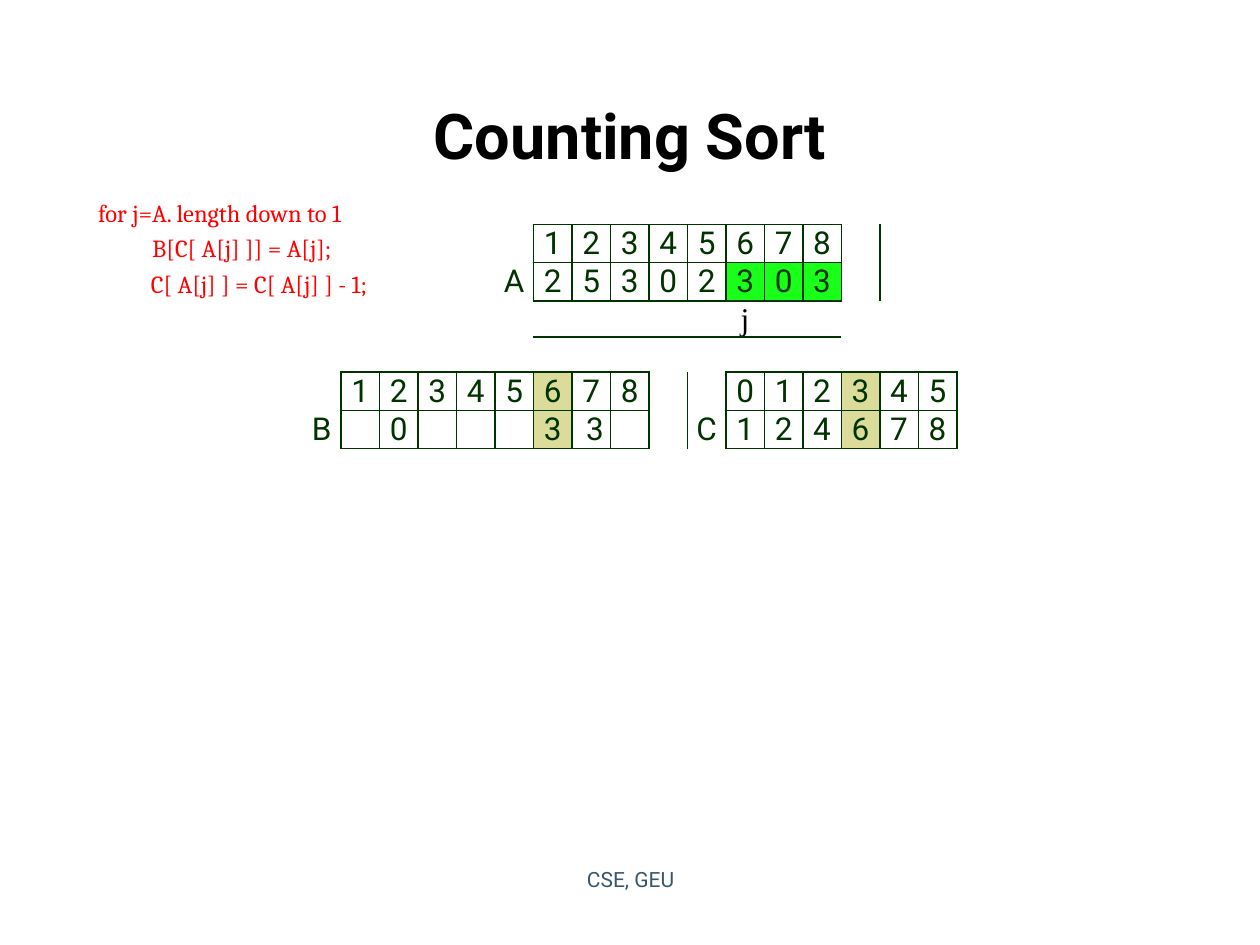
from lxml import etree
from pptx import Presentation
from pptx import util as u
from pptx.dml.color import RGBColor
from pptx.enum import text
from pptx.oxml import ns

BLACK = RGBColor(0, 0, 0)
DARK_GREEN = RGBColor(0x00, 0x33, 0x00)
LIME = RGBColor(0x1A, 0xFF, 0x1A)
KHAKI = RGBColor(0xDC, 0xDC, 0x9A)
RED = RGBColor(0xFF, 0, 0)
SLATE = RGBColor(0x3A, 0x56, 0x6E)
PLAIN_STYLE = "{2D5ABB26-0587-4C30-8999-92F81FD0307C}"
ROWS, COLUMNS = 6, 17


def write(paragraph, wording, size, color, face="Roboto", bold=False, align=text.PP_ALIGN.CENTER):
    """Write one formatted run into a paragraph."""
    paragraph.alignment = align
    run = paragraph.add_run()
    run.text = wording
    for name, value in {"name": face, "size": u.Pt(size), "bold": bold}.items():
        setattr(run.font, name, value)
    run.font.color.rgb = color


def place_title(slide, box):
    """Place the slide title in its placeholder."""
    title = slide.shapes.title
    for name, value in zip(("left", "top", "width", "height"), box):
        setattr(title, name, u.Inches(value))
    title.text_frame.vertical_anchor = text.MSO_ANCHOR.MIDDLE
    write(title.text_frame.paragraphs[0], "Counting Sort", 36, BLACK, bold=True)


def add_frame(slide, box):
    """Add a wrapping text box and return its frame."""
    frame = slide.shapes.add_textbox(*map(u.Inches, box)).text_frame
    frame.word_wrap = True
    return frame


def place_code(slide, box):
    """Place the loop of the algorithm, with its body indented."""
    frame = add_frame(slide, box)
    steps = (("for j=A. length down to 1", 0.01),
             ("B[C[ A[j] ]] = A[j];", 0.44),
             ("C[ A[j] ] = C[ A[j] ] - 1;", 0.43))
    for number, (step, indent) in enumerate(steps):
        line = frame.add_paragraph() if number else frame.paragraphs[0]
        line.line_spacing = 1.21
        line.space_before = u.Pt(0.1)
        line._p.get_or_add_pPr().set("marL", str(u.Inches(indent)))
        write(line, step, 14, RED, "Cambria", align=text.PP_ALIGN.LEFT)


def place_footer(slide, box):
    """Place the centred footer."""
    write(add_frame(slide, box).paragraphs[0], "CSE, GEU", 12, SLATE)


def write_cell(cell, wording, face="Roboto", color=DARK_GREEN):
    """Replace the small blank of a cell with a centred value."""
    write(cell.text_frame.paragraphs[0], wording, 18, color, face)


def fill_array(table, edges, row, column, label, indices, values, marked, shade):
    """Fill one labelled array, shade its marked columns and collect its grid edges."""
    write_cell(table.cell(row + 1, column - 1), label)
    for y, line in enumerate((indices, values), row):
        for x, value in enumerate(line, column):
            edges.update({("v", y, x), ("v", y, x + 1), ("h", y, x), ("h", y + 1, x)})
            if value:
                write_cell(table.cell(y, x), value)
            if (y, x) in marked:
                table.cell(y, x).fill.solid()
                table.cell(y, x).fill.fore_color.rgb = shade


def draw_borders(cell, row, column, edges):
    """Give a cell a line on every side that is a listed edge."""
    sides = {"L": ("v", row, column), "R": ("v", row, column + 1),
             "T": ("h", row, column), "B": ("h", row + 1, column)}
    properties = cell._tc.get_or_add_tcPr()
    for position, (side, edge) in enumerate(sides.items()):
        line = etree.Element(ns.qn("a:ln" + side), w=str(u.Pt(1)))
        properties.insert(position, line)
        if edge in edges:
            solid = etree.SubElement(line, ns.qn("a:solidFill"))
            etree.SubElement(solid, ns.qn("a:srgbClr"), val=str(DARK_GREEN))
        else:
            etree.SubElement(line, ns.qn("a:noFill"))


def place_arrays(slide, box):
    """Place arrays A, B and C in one table."""
    frame = slide.shapes.add_table(ROWS, COLUMNS, *map(u.Inches, box))
    table = frame.table
    frame._element.find(".//" + ns.qn("a:tableStyleId")).text = PLAIN_STYLE
    table.first_row = table.horz_banding = False
    for column in table.columns:
        column.width = int(u.Inches(box[2]) / COLUMNS)
    for row in table.rows:
        row.height = u.Inches(0.28)
    margins = {"margin_left": 0.01, "margin_top": 0.01, "margin_right": 0.01, "margin_bottom": 0}
    for cell in table.iter_cells():
        cell.fill.background()
        cell.text_frame.paragraphs[0].font.size = u.Pt(8)
        for name, value in margins.items():
            setattr(cell, name, u.Inches(value))

    edges = {("v", y, x) for y, x in ((0, 15), (1, 15), (4, 10), (5, 10))}
    edges.update(("h", 3, x) for x in range(6, 14))
    fill_array(table, edges, 0, 6, "A", "12345678", "25302303",
               {(1, 11), (1, 12), (1, 13)}, LIME)
    fill_array(table, edges, 4, 1, "B", "12345678", ["", "0", "", "", "", "3", " 3", ""],
               {(4, 6), (5, 6)}, KHAKI)
    fill_array(table, edges, 4, 11, "C", "012345", "124678",
               {(4, 14), (5, 14)}, KHAKI)
    write_cell(table.cell(2, 11), "j", "Times New Roman", BLACK)
    for y in range(ROWS):
        for x in range(COLUMNS):
            draw_borders(table.cell(y, x), y, x, edges)


def main():
    """Build and save the slide."""
    deck = Presentation()
    deck.slide_width, deck.slide_height = u.Inches(10), u.Inches(7.5)
    slide = deck.slides.add_slide(deck.slide_layouts[5])
    place_title(slide, (0.5, 0.44, 9, 1.25))
    place_arrays(slide, (2.4, 1.78, 5.2, 1.68))
    place_code(slide, (0.67, 1.47, 8.43, 0.93))
    place_footer(slide, (3.42, 6.83, 3.17, 0.52))
    deck.save("out.pptx")


if __name__ == "__main__":
    main()
